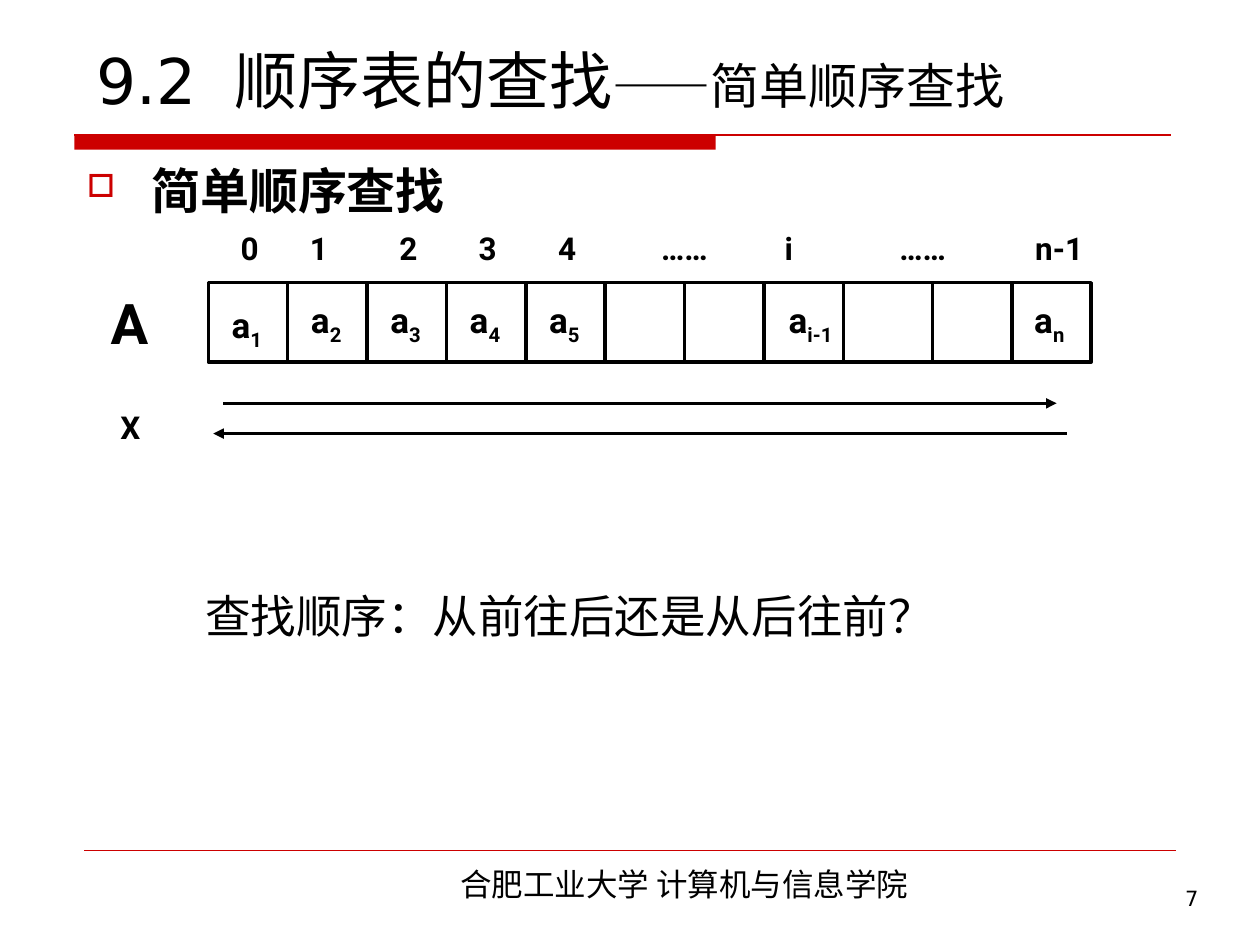
from lxml.etree import SubElement
from pptx import Presentation
from pptx.dml.color import RGBColor
from pptx.enum.shapes import MSO_CONNECTOR, MSO_SHAPE
from pptx.enum.text import MSO_ANCHOR, PP_ALIGN
from pptx.oxml.ns import qn
from pptx.util import Cm, Pt

BLACK = RGBColor(0, 0, 0)
RED = RGBColor(0xCC, 0, 0)
CHINESE_FONT = "Noto Sans CJK SC"

deck = Presentation()
deck.slide_width = Cm(25.4)
deck.slide_height = Cm(19.05)
page = deck.slides.add_slide(deck.slide_layouts[5])


def write(box, spans, font, bold=False, wrap=True):
    box.text_frame.word_wrap = wrap
    para = box.text_frame.paragraphs[0]
    for text, size in spans:
        span = para.add_run()
        span.text = text
        span.font.size = Pt(size)
        span.font.name = font
        span.font.bold = bold
        span.font.color.rgb = BLACK
        east_asian = SubElement(span._r.get_or_add_rPr(), qn("a:ea"))
        east_asian.set("typeface", CHINESE_FONT)
    return para


def draw_line(x1, y1, x2, y2, color=BLACK, width=2, arrow=False):
    line = page.shapes.add_connector(
        MSO_CONNECTOR.STRAIGHT, Cm(x1), Cm(y1), Cm(x2), Cm(y2))
    line.line.color.rgb = color
    line.line.width = Pt(width)
    if arrow:
        SubElement(line.line._get_or_add_ln(), qn("a:tailEnd")).set("type", "triangle")
    SubElement(line._element.spPr, qn("a:effectLst"))


title_bar = page.shapes.add_shape(
    MSO_SHAPE.RECTANGLE, Cm(1.5), Cm(2.72), Cm(12.93), Cm(0.3))
title_bar.shadow.inherit = False
title_bar.fill.solid()
title_bar.fill.fore_color.rgb = RED
title_bar.line.fill.background()
draw_line(1.5, 2.72, 23.6, 2.72, RED, 0.75)
draw_line(1.7, 17.15, 23.7, 17.15, RED, 0.25)

footer = page.shapes.add_textbox(Cm(6.1), Cm(17.32), Cm(15.39), Cm(1.02))
para = write(footer, [("合肥工业大学 计算机与信息学院", 18)], CHINESE_FONT)
para.alignment = PP_ALIGN.CENTER
para.space_before = Pt(11.2)

title = page.shapes.title
title.left, title.top, title.width, title.height = Cm(1.7), Cm(0.71), Cm(22.23), Cm(1.78)
title.text_frame.vertical_anchor = MSO_ANCHOR.BOTTOM
para = write(title, [("9.2", 36), (" ", 36), ("顺序表的查找", 36), ("——简单顺序查找", 28)],
             "DejaVu Sans")
para.alignment = PP_ALIGN.LEFT
para.runs[1].font._element.set("spc", "1000")

heading = page.shapes.add_textbox(Cm(1.5), Cm(3.12), Cm(22), Cm(2.59))
para = write(heading, [("简单顺序查找", 28)], "Times New Roman", bold=True)
para.space_before = Pt(6)
properties = para._p.get_or_add_pPr()
properties.set("marL", str(Cm(1.3)))
properties.set("indent", str(Cm(-1.3)))
bullet_color = SubElement(properties, qn("a:buClr"))
SubElement(bullet_color, qn("a:srgbClr")).set("val", str(RED))
SubElement(properties, qn("a:buSzPct")).set("val", "65000")
SubElement(properties, qn("a:buChar")).set("char", "□")

array = page.shapes.add_shape(
    MSO_SHAPE.RECTANGLE, Cm(4.2), Cm(5.7), Cm(17.8), Cm(1.6))
array.shadow.inherit = False
array.fill.background()
array.line.color.rgb = BLACK
array.line.width = Pt(2)
for x in [5.8 + 1.6 * step for step in range(8)] + [18.8, 20.4]:
    draw_line(x, 5.7, x, 7.3)

labels = [
    ("A", 1.98, 5.7, 1.27, 32), ("X", 2.18, 8.1, 0.91, 18),
    ("0", 4.6, 4.5, 0.86, 18), ("1", 6, 4.5, 0.86, 18),
    ("2", 7.8, 4.5, 0.86, 18), ("3", 9.4, 4.5, 0.86, 18),
    ("4", 11, 4.5, 0.86, 18), ("……", 13.08, 4.5, 1.6, 18),
    ("i", 15.57, 4.5, 0.69, 18), ("……", 17.88, 4.5, 1.6, 18),
    ("n-1", 20.62, 4.5, 1.5, 18),
]
for text, left, top, width, size in labels:
    box = page.shapes.add_textbox(Cm(left), Cm(top), Cm(width), Cm(size / 18))
    write(box, [(text, size)], "Roboto", bold=True, wrap=False)

elements = [
    ("1", 4.42, 6, 1.17), ("2", 6.02, 5.9, 1.17), ("3", 7.62, 5.9, 1.17),
    ("4", 9.22, 5.9, 1.17), ("5", 10.82, 5.9, 1.17),
    ("i-1", 15.65, 5.9, 1.42), ("n", 20.6, 5.9, 1.19),
]
for index, left, top, width in elements:
    box = page.shapes.add_textbox(Cm(left), Cm(top), Cm(width), Cm(1.22))
    para = write(box, [("a", 20), (index, 20)], "Roboto", bold=True, wrap=False)
    para.runs[1].font._element.set("baseline", "-25000")

draw_line(4.5, 8.13, 21.3, 8.13, arrow=True)
draw_line(21.5, 8.74, 4.3, 8.74, arrow=True)

question = page.shapes.add_textbox(Cm(3.89), Cm(11.73), Cm(18.62), Cm(2.59))
para = write(question, [("查找顺序：从前往后还是从后往前？", 26)], "Times New Roman")
para.space_before = Pt(6.5)

page_number = page.shapes.add_textbox(Cm(18.9), Cm(17.73), Cm(5.51), Cm(1.32))
para = write(page_number, [("7", 12)], "DejaVu Sans")
para.alignment = PP_ALIGN.RIGHT

deck.save("out.pptx")
